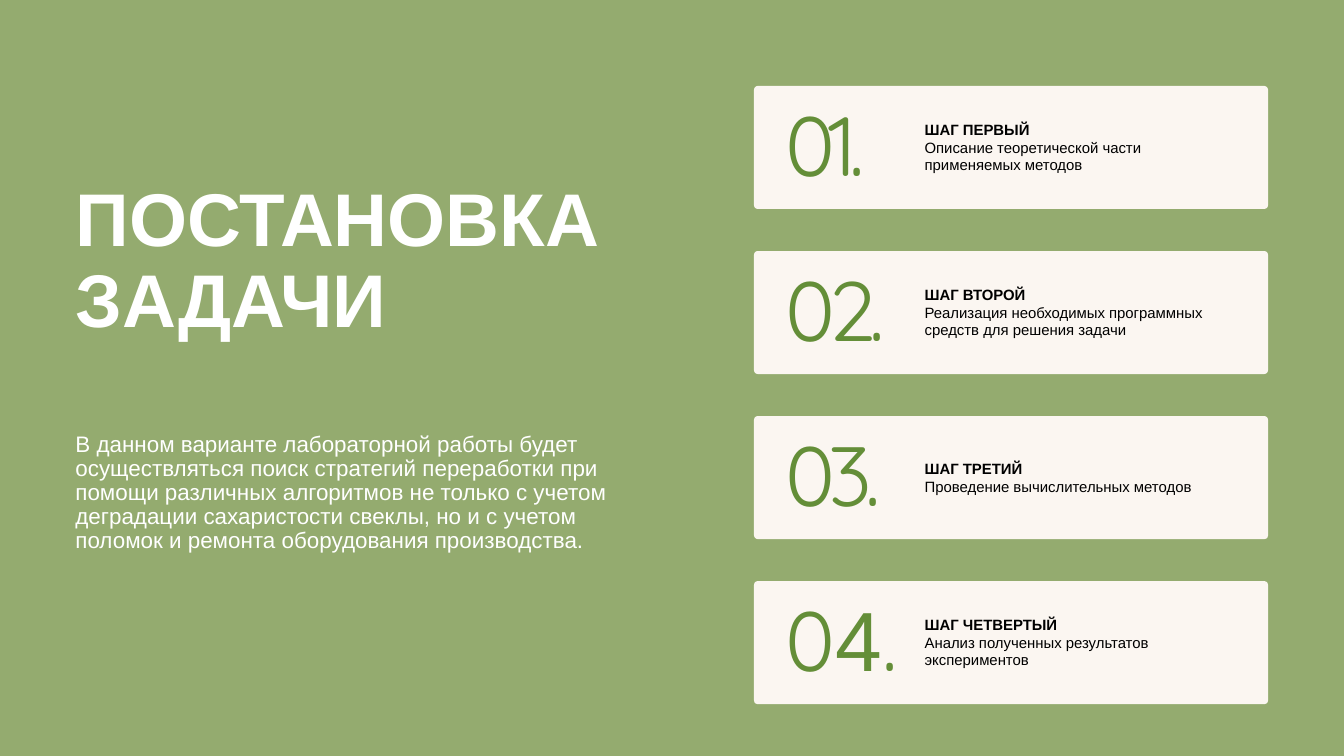
import pptx
import pptx.util
import pptx.dml.color
import pptx.enum.shapes
import pptx.enum.text
import pptx.oxml.xmlchemy
from lxml import etree

Cm, Pt = pptx.util.Cm, pptx.util.Pt
RGB = pptx.dml.color.RGBColor

GREEN = RGB(0x94, 0xAB, 0x6F)
DARK = RGB(0x64, 0x8E, 0x38)
CREAM = RGB(0xFB, 0xF6, 0xF1)
WHITE = RGB(0xFF, 0xFF, 0xFF)
BLACK = RGB(0, 0, 0)
SANS, ROUND = "Arial", "Quicksand"

TITLE = "ПОСТАНОВКА ЗАДАЧИ"
INTRO = (
    "В данном варианте лабораторной работы будет осуществляться поиск "
    "стратегий переработки при помощи различных алгоритмов не только с учетом "
    "деградации сахаристости свеклы, но и с учетом поломок и ремонта "
    "оборудования производства."
)
# number as (text, font) runs, heading, text, lines in all
STEPS = [
    ([("01.", ROUND)], "ШАГ ПЕРВЫЙ",
     "Описание теоретической части применяемых методов", 3),
    ([("02.", ROUND)], "ШАГ ВТОРОЙ",
     "Реализация необходимых программных средств для решения задачи", 3),
    ([("03.", ROUND)], "ШАГ ТРЕТИЙ",
     "Проведение вычислительных методов", 2),
    ([("0", ROUND), ("4", SANS), (".", ROUND)], "ШАГ ЧЕТВЕРТЫЙ",
     "Анализ полученных результатов экспериментов", 3),
]

# all in cm
CARD_X, CARD_Y, CARD_W, CARD_H = 28.5, 3.25, 19.43, 4.65
PITCH = 6.24
NUM_X, NUM_DY, NUM_W, NUM_H = 29.69, 1.02, 4.4, 3.07
TEXT_X, TEXT_W, LINE_H = 34.95, 11.48, 0.67


def place(shape, x, y, w, h):
    shape.left, shape.top, shape.width, shape.height = Cm(x), Cm(y), Cm(w), Cm(h)


def setup(shape):
    """Strip margins, wrap the text and start it at the top."""
    frame = shape.text_frame
    frame.margin_left = frame.margin_right = 0
    frame.margin_top = frame.margin_bottom = 0
    frame.word_wrap = True
    frame.auto_size = pptx.enum.text.MSO_AUTO_SIZE.NONE
    frame.vertical_anchor = pptx.enum.text.MSO_ANCHOR.TOP
    return frame


def format_par(par, space):
    par.alignment = pptx.enum.text.PP_ALIGN.LEFT
    par.line_spacing = Pt(space)
    par.space_before = par.space_after = Pt(0)


def add_run(par, text, size, color, font=SANS, bold=False):
    run = par.add_run()
    run.text = text
    run.font.name = font
    run.font.size = Pt(size)
    run.font.bold = bold
    run.font.color.rgb = color
    return run


def add_box(slide, x, y, w, h):
    return setup(slide.shapes.add_textbox(Cm(x), Cm(y), Cm(w), Cm(h)))


def add_card(slide, y):
    kind = pptx.enum.shapes.MSO_SHAPE.ROUNDED_RECTANGLE
    card = slide.shapes.add_shape(kind, Cm(CARD_X), Cm(y), Cm(CARD_W), Cm(CARD_H))
    card.adjustments[0] = 0.03
    card.shadow.inherit = False
    card.fill.solid()
    card.fill.fore_color.rgb = CREAM
    card.line.fill.background()


def add_step(slide, y, number, head, text, lines):
    add_card(slide, y)
    par = add_box(slide, NUM_X, y + NUM_DY, NUM_W, NUM_H).paragraphs[0]
    format_par(par, 86.4)
    for part, font in number:
        run = add_run(par, part, 90, DARK, font)
        run.font._element.set("spc", "-740")

    high = lines * LINE_H
    frame = add_box(slide, TEXT_X, y + (CARD_H - high) / 2, TEXT_W, high)
    pars = frame.paragraphs[0], frame.add_paragraph()
    for par, part, bold in zip(pars, (head, text), (True, False)):
        format_par(par, 18.9)
        add_run(par, part, 16, BLACK, bold=bold)


def main():
    deck = pptx.Presentation()
    deck.slide_width, deck.slide_height = Cm(50.8), Cm(28.58)
    slide = deck.slides.add_slide(deck.slide_layouts[1])
    slide.background.fill.solid()
    slide.background.fill.fore_color.rgb = GREEN

    title, body = slide.placeholders
    place(title, 2.85, 6.8, 22.73, 6.27)
    par = setup(title).paragraphs[0]
    format_par(par, 87)
    add_run(par, TITLE, 80, WHITE, bold=True)

    place(body, 2.85, 16.38, 21.39, 4.62)
    par = setup(body).paragraphs[0]
    format_par(par, 25.6)
    props = par._p.get_or_add_pPr()
    props.set("marL", "0")
    props.set("indent", "0")
    etree.SubElement(props, pptx.oxml.ns.qn("a:buNone"))
    add_run(par, INTRO, 24, WHITE)

    for i, step in enumerate(STEPS):
        add_step(slide, CARD_Y + i * PITCH, *step)
    deck.save("out.pptx")


if __name__ == "__main__":
    main()
